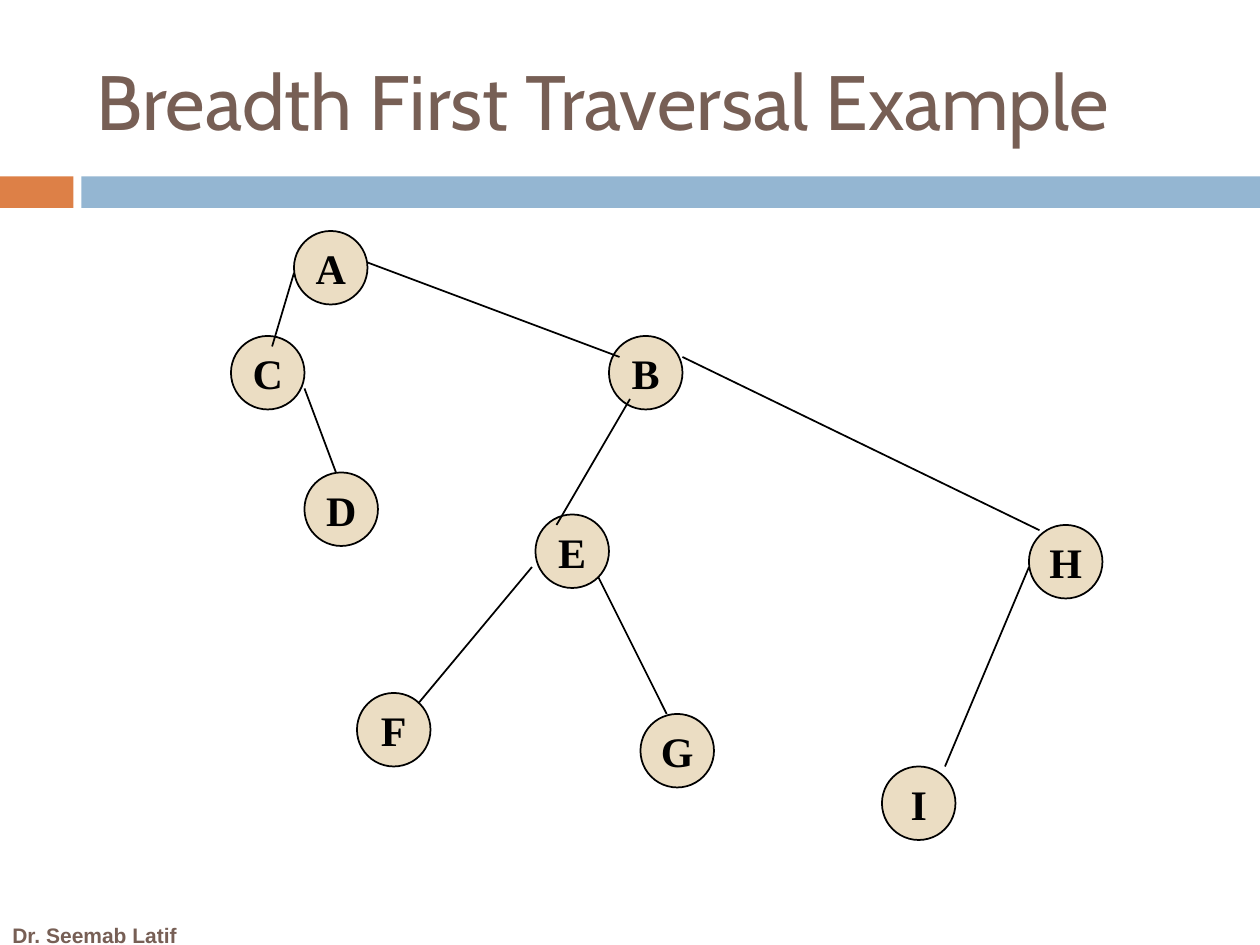
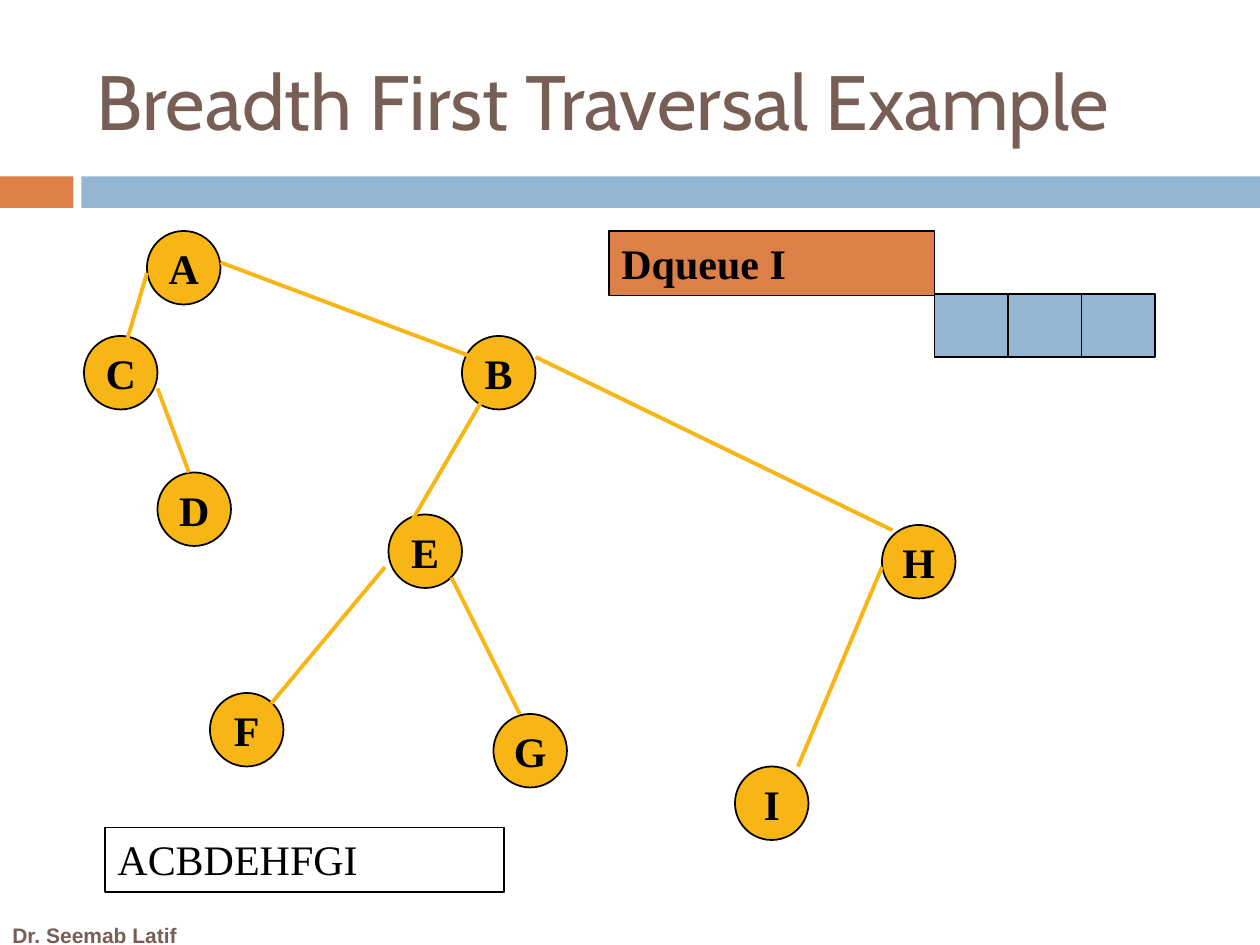
from lxml import etree
from pptx import Presentation
from pptx.dml.color import RGBColor
from pptx.enum.shapes import MSO_CONNECTOR, MSO_SHAPE
from pptx.enum.text import MSO_ANCHOR, MSO_AUTO_SIZE, PP_ALIGN
from pptx.oxml.ns import qn
from pptx.util import Pt

RECTANGLE, OVAL = MSO_SHAPE.RECTANGLE, MSO_SHAPE.OVAL
STRAIGHT = MSO_CONNECTOR.STRAIGHT
LEFT, CENTER = PP_ALIGN.LEFT, PP_ALIGN.CENTER
TOP, MIDDLE = MSO_ANCHOR.TOP, MSO_ANCHOR.MIDDLE
NO_FIT = MSO_AUTO_SIZE.NONE

# Content
TITLE = "Breadth First Traversal Example"
AUTHOR = "Dr. Seemab Latif"
NODES = {  # letter: left, top
    "A": (168, 132), "C": (132, 192), "D": (174, 270),
    "B": (348, 192), "E": (306, 294), "F": (204, 396),
    "G": (366, 408), "I": (504, 438), "H": (588, 300),
}
EDGES = [  # start x, start y, end x, end y
    (168, 156, 155.5, 198),  # A to C
    (174, 222, 192, 270),    # C to D
    (210, 150, 354, 204),    # A to B
    (360, 228, 318, 300),    # B to E
    (304, 324, 239, 402),    # E to F
    (342, 330, 381, 408),    # E to G
    (390, 204, 594, 303),    # B to H
    (588, 324, 540, 438),    # H to I
]
QUEUE_STEP = "Dqueue I"
VISITED = "ACBDEHFGI"
QUEUE_CELLS = 3

# Shared style
COLORS = {
    "brown": "775F55", "orange": "DD8047", "blue": "94B6D2",
    "sand": "EBDDC3", "gold": "F7B615", "black": "000000",
}
TITLE_FONT, BODY_FONT, FOOTER_FONT = "Cabin", "Times New Roman", "Arial"
NODE_SIZE = 42
LABEL_HEIGHT = 36.7
CELL_WIDTH, CELL_HEIGHT = 42, 36


def color(name):
    return RGBColor.from_string(COLORS[name])


def set_font(paragraph, font_name, size, color_name, bold=False):
    font = paragraph.font
    font.name, font.size, font.bold = font_name, Pt(size), bold
    font.color.rgb = color(color_name)


def add_figure(slide, kind, box, fill=None, line_width=None):
    figure = slide.shapes.add_shape(kind, *map(Pt, box))
    figure.shadow.inherit = False
    if fill:
        figure.fill.solid()
        figure.fill.fore_color.rgb = color(fill)
    else:
        figure.fill.background()
    if line_width:
        figure.line.color.rgb = color("black")
        figure.line.width = Pt(line_width)
    else:
        figure.line.fill.background()
    return figure


def write(figure, text, bold=True, align=LEFT, anchor=TOP, wrap=True):
    frame = figure.text_frame
    frame.word_wrap, frame.vertical_anchor = wrap, anchor
    paragraph = frame.paragraphs[0]
    paragraph.text, paragraph.alignment = text, align
    set_font(paragraph, BODY_FONT, 24, "black", bold)


def add_base_slide(deck):
    slide = deck.slides.add_slide(deck.slide_layouts[5])

    # Bands below the title
    add_figure(slide, RECTANGLE, (0, 100.8, 42, 18), "orange")
    add_figure(slide, RECTANGLE, (46.5, 100.8, 673.5, 18), "blue")

    # Author footer
    footer = slide.shapes.add_textbox(Pt(0), Pt(523.5), Pt(114), Pt(16.5))
    footer.text_frame.word_wrap = False
    author = footer.text_frame.paragraphs[0]
    author.text = AUTHOR
    set_font(author, FOOTER_FONT, 12, "brown", True)

    # Title
    title = slide.shapes.title
    title.left, title.top, title.width, title.height = map(Pt, (48, 18, 642, 78))
    title.text = TITLE
    title.text_frame.vertical_anchor = MIDDLE
    title.text_frame.auto_size = NO_FIT
    heading = title.text_frame.paragraphs[0]
    heading.alignment = LEFT
    set_font(heading, TITLE_FONT, 44, "brown")
    return slide


def add_tree(slide, node_fill, edge_color, edge_width, shift=0):
    for letter, (left, top) in NODES.items():
        box = (left + shift, top, NODE_SIZE, NODE_SIZE)
        node = add_figure(slide, OVAL, box, node_fill, 1)
        write(node, letter, align=CENTER, anchor=MIDDLE, wrap=False)
    for x1, y1, x2, y2 in EDGES:
        ends = (x1 + shift, y1, x2 + shift, y2)
        edge = slide.shapes.add_connector(STRAIGHT, *map(Pt, ends))
        edge.line.color.rgb = color(edge_color)
        edge.line.width = Pt(edge_width)
        etree.SubElement(edge.line._get_or_add_ln().getparent(), qn("a:effectLst"))


def add_queue(slide, left, top):
    step_width = 186
    step = add_figure(slide, RECTANGLE, (left, top, step_width, LABEL_HEIGHT),
                      "orange", 0.75)
    write(step, QUEUE_STEP)
    for i in range(QUEUE_CELLS):
        box = (left + step_width + i * CELL_WIDTH, top + CELL_HEIGHT,
               CELL_WIDTH, CELL_HEIGHT)
        add_figure(slide, RECTANGLE, box, "blue", 0.75)


def main():
    deck = Presentation()
    deck.slide_width, deck.slide_height = Pt(720), Pt(540)

    # Tree before the traversal
    add_tree(add_base_slide(deck), "sand", "black", 1)

    # Tree, queue and visiting order at the end of the traversal
    finished = add_base_slide(deck)
    add_tree(finished, "gold", "gold", 2.25, shift=-84)
    add_queue(finished, 348, 132)
    visited = add_figure(finished, RECTANGLE, (60, 473, 228, LABEL_HEIGHT),
                         line_width=0.75)
    write(visited, VISITED, bold=False)

    deck.save("out.pptx")


if __name__ == "__main__":
    main()
